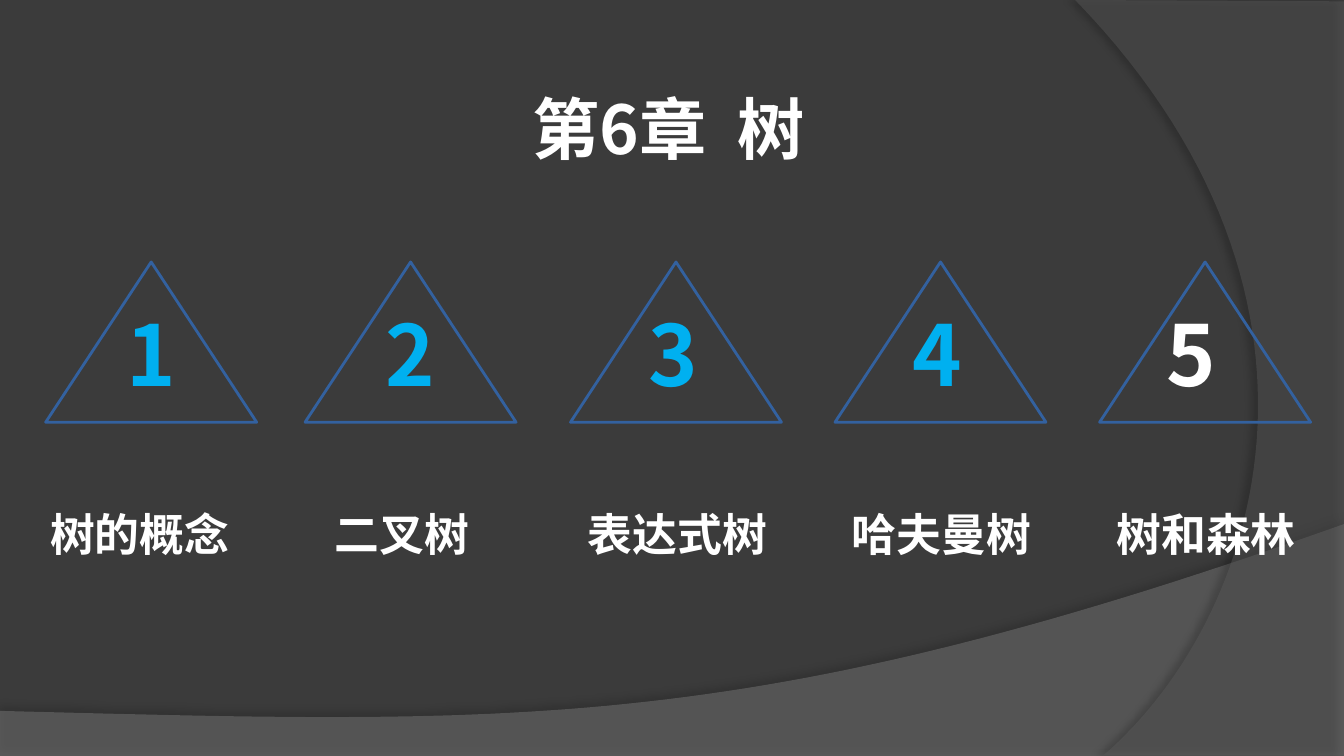
from dataclasses import dataclass

from lxml import etree
from pptx import Presentation
from pptx.dml.color import RGBColor
from pptx.enum.shapes import MSO_SHAPE
from pptx.enum.text import MSO_ANCHOR, PP_ALIGN
from pptx.oxml.ns import qn
from pptx.util import Emu, Inches, Pt

TRIANGLE = MSO_SHAPE.ISOSCELES_TRIANGLE
CENTER, TOP = PP_ALIGN.CENTER, MSO_ANCHOR.TOP
FONT = "Noto Sans CJK SC"
COLORS = {
    "background": "3B3B3B", "hill": "7F7F7F", "arc": "5E5E5E",
    "outline": "33619F", "number": "00B0F0", "text": "FFFFFF", "shadow": "000000",
}
WIDTH = Inches(10)
HEIGHT = Emu(WIDTH * 9 // 16)
LAYOUT_TITLE_ONLY = 5
CURVE_STEPS = 60

# Row tops and heights, and widths, as shares of the slide
TITLE_ROW, TRIANGLE_ROW = (0.08, 0.15), (0.3465, 0.212)
NUMBER_ROW, LABEL_ROW = (0.3915, 0.153), (0.626, 0.114)
TITLE_WIDTH, TRIANGLE_WIDTH, NUMBER_WIDTH, LABEL_WIDTH = 0.363, 0.157, 0.148, 0.213

Point = tuple[float, float]


@dataclass(frozen=True)
class Topic:
    """A chapter section; the centres are shares of the slide's width."""
    label: str
    triangle_center: float
    number_center: float
    label_center: float
    number_color: str = "number"


@dataclass(frozen=True)
class Swoosh:
    """A translucent background area with one curved edge, in inches."""
    color: str
    opacity: int
    corners: list[Point]
    curve: tuple[Point, Point, Point, Point]
    shadow_opacity: int
    shadow_distance: float
    shadow_angle: int


TOPICS = [
    Topic("树的概念", 0.1125, 0.1125, 0.104),
    Topic("二叉树", 0.3055, 0.305, 0.299),
    Topic("表达式树", 0.503, 0.501, 0.504),
    Topic("哈夫曼树", 0.6998, 0.6975, 0.7005),
    Topic("树和森林", 0.8967, 0.8865, 0.8975, "text"),
]
SWOOSHES = [
    Swoosh("hill", 45, [(0, 5.29), (0, 5.63), (10, 5.63)],
           ((10, 3.9), (5.59, 5.47), (3.91, 5.39), (0, 5.29)), 35, 3.5, 270),
    Swoosh("arc", 40, [(10, 0.01), (10, 5.62)],
           ((8.21, 5.62), (9.35, 4.64), (10.18, 2.25), (8, 0)), 45, 4, 180),
]


def rgb(name: str) -> RGBColor:
    return RGBColor.from_string(COLORS[name])


def place(center: float, width: float, row: Point) -> tuple[Emu, ...]:
    """Turn shares of the slide into left, top, width and height."""
    top, height = row
    return (Emu(int((center - width / 2) * WIDTH)), Emu(int(top * HEIGHT)),
            Emu(int(width * WIDTH)), Emu(int(height * HEIGHT)))


def bezier(curve: tuple[Point, Point, Point, Point]) -> list[Point]:
    points = []
    for step in range(CURVE_STEPS + 1):
        t = step / CURVE_STEPS
        weights = ((1 - t) ** 3, 3 * t * (1 - t) ** 2, 3 * t * t * (1 - t), t ** 3)
        points.append(tuple(sum(w * p[axis] for w, p in zip(weights, curve))
                            for axis in (0, 1)))
    return points


def add_alpha(color_element, percent: int) -> None:
    etree.SubElement(color_element, qn("a:alpha")).set("val", str(percent * 1000))


def draw_swoosh(slide, swoosh: Swoosh) -> None:
    start, *rest = [(Inches(x), Inches(y))
                    for x, y in swoosh.corners + bezier(swoosh.curve)]
    builder = slide.shapes.build_freeform(*start)
    builder.add_line_segments(rest, close=True)
    area = builder.convert_to_shape()
    area.fill.solid()
    area.fill.fore_color.rgb = rgb(swoosh.color)
    area.line.fill.background()
    properties = area.fill._xPr
    add_alpha(properties.find(".//" + qn("a:srgbClr")), swoosh.opacity)

    # Soft shadow along the curved edge
    area.shadow.inherit = False
    effects = properties.find(qn("a:effectLst"))
    shadow = etree.SubElement(
        effects, qn("a:outerShdw"), blurRad=str(Pt(4)),
        dist=str(Pt(swoosh.shadow_distance)), dir=str(swoosh.shadow_angle * 60000),
        algn="ctr", rotWithShape="0")
    add_alpha(etree.SubElement(shadow, qn("a:srgbClr"), val=COLORS["shadow"]),
              swoosh.shadow_opacity)


def write(shape, text: str, *, size: float, color: str = "text",
          spacing: float = 1.0) -> None:
    frame = shape.text_frame
    frame.word_wrap = True
    frame.vertical_anchor = TOP
    paragraph = frame.paragraphs[0]
    paragraph.alignment = CENTER
    paragraph.line_spacing = spacing
    paragraph.space_before = Pt(0)
    run = paragraph.add_run()
    run.text = text
    font = run.font
    font.size, font.bold, font.name = Pt(size), True, FONT
    font.color.rgb = rgb(color)
    etree.SubElement(font._rPr, qn("a:ea"), typeface=FONT)


def draw_topic(slide, number: int, topic: Topic) -> None:
    shapes = slide.shapes
    triangle = shapes.add_shape(
        TRIANGLE, *place(topic.triangle_center, TRIANGLE_WIDTH, TRIANGLE_ROW))
    triangle.shadow.inherit = False
    triangle.fill.background()
    triangle.line.color.rgb = rgb("outline")
    triangle.line.width = Pt(1.5)
    write(shapes.add_textbox(*place(topic.number_center, NUMBER_WIDTH, NUMBER_ROW)),
          str(number), size=45, color=topic.number_color)
    write(shapes.add_textbox(*place(topic.label_center, LABEL_WIDTH, LABEL_ROW)),
          topic.label, size=24, spacing=1.5)


def main() -> None:
    deck = Presentation()
    deck.slide_width, deck.slide_height = WIDTH, HEIGHT
    slide = deck.slides.add_slide(deck.slide_layouts[LAYOUT_TITLE_ONLY])

    # Background
    slide.background.fill.solid()
    slide.background.fill.fore_color.rgb = rgb("background")
    for swoosh in SWOOSHES:
        draw_swoosh(slide, swoosh)

    # Chapter title
    title = slide.shapes.title
    title.left, title.top, title.width, title.height = place(
        0.4975, TITLE_WIDTH, TITLE_ROW)
    write(title, "第6章  树", size=36, spacing=1.25)

    # Numbered topics
    for number, topic in enumerate(TOPICS, start=1):
        draw_topic(slide, number, topic)

    deck.save("out.pptx")


if __name__ == "__main__":
    main()
